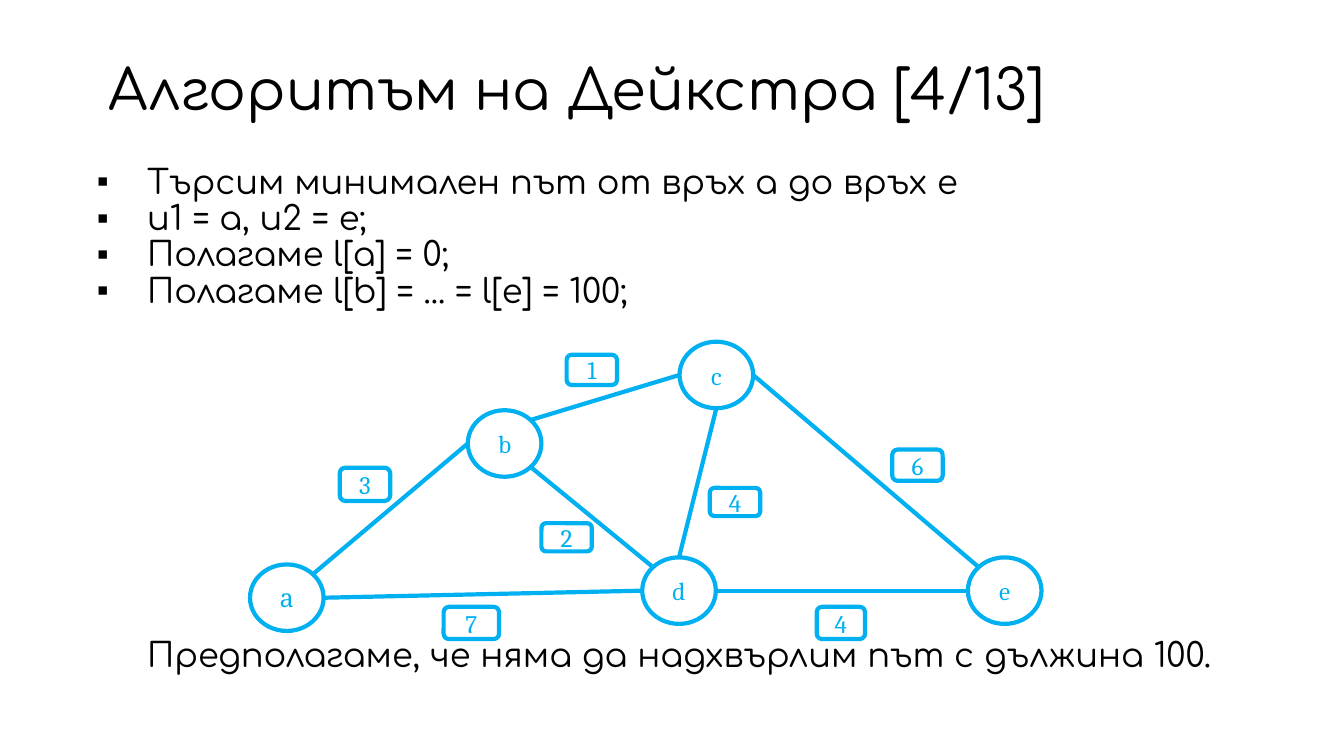
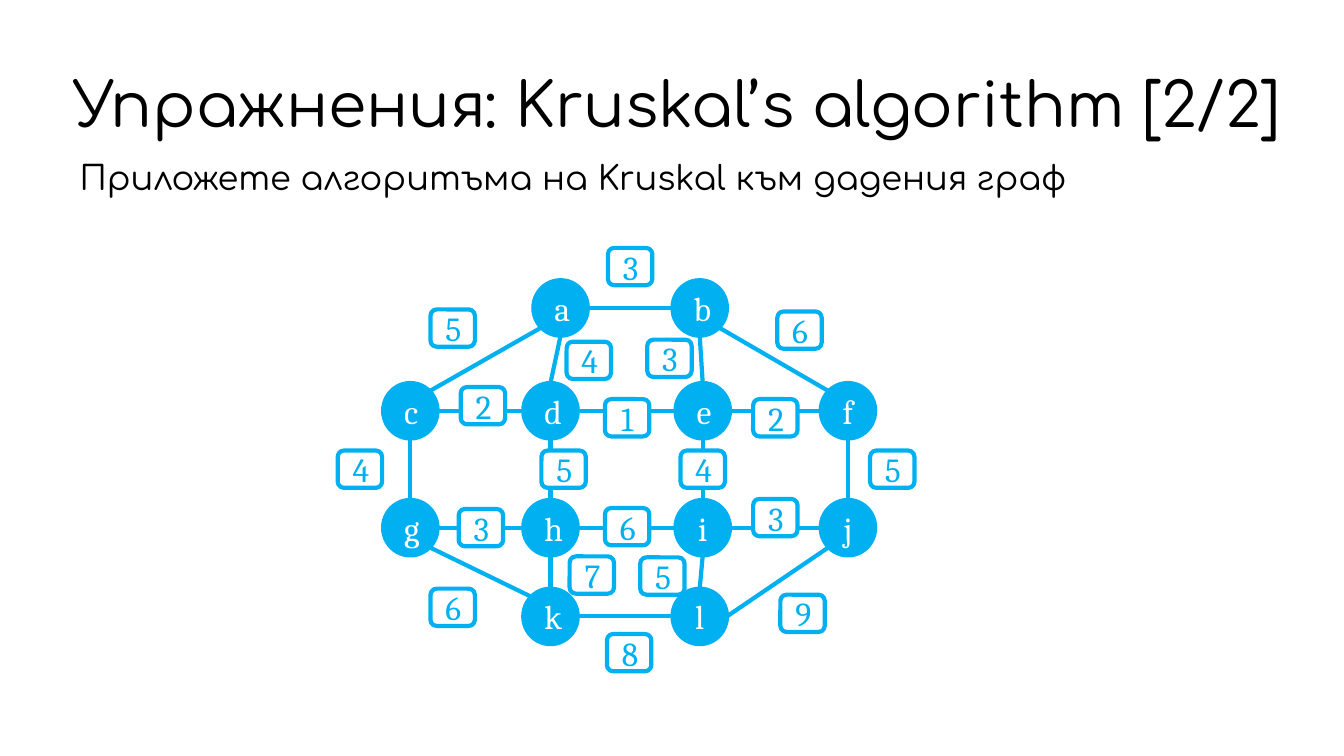
from collections import namedtuple
from math import cos, radians, sin

from lxml.etree import SubElement
from pptx import Presentation
from pptx.dml.color import RGBColor
from pptx.enum.shapes import MSO_CONNECTOR, MSO_SHAPE
from pptx.enum.text import MSO_ANCHOR, MSO_AUTO_SIZE, PP_ALIGN
from pptx.oxml.ns import qn
from pptx.util import Inches, Pt

BLACK = RGBColor(0x00, 0x00, 0x00)
WHITE = RGBColor(0xFF, 0xFF, 0xFF)
BLUE = RGBColor(0x00, 0xB0, 0xF0)
TEXT_FONT = "Comfortaa"
GRAPH_FONT = "Cambria"
LINE_WIDTH = Pt(3)
CELL = Inches(0.1)
SLIDE_WIDTH, SLIDE_HEIGHT = Inches(13.33), Inches(7.5)

TOP, TOP_LEFT, LEFT, BOTTOM_LEFT, BOTTOM, BOTTOM_RIGHT, RIGHT, TOP_RIGHT = range(8)

Box = namedtuple("Box", "left top width height")
Edge = namedtuple("Edge", "start start_site end end_site weight label")
GraphStyle = namedtuple("GraphStyle", "node_size font_size node_fill node_text label_fill")

DIJKSTRA_STYLE = GraphStyle((7.3, 6.6), 18, None, BLUE, None)
DIJKSTRA_NODES = {
    "а": (0, 22.1), "b": (21.6, 6.8), "c": (42.6, 0), "d": (38.9, 21.4), "e": (71.2, 21.4),
}
DIJKSTRA_EDGES = [
    Edge("а", TOP_RIGHT, "b", LEFT, "3", Box(8.9, 12.5, 5, 3.3)),
    Edge("b", BOTTOM_RIGHT, "d", TOP_LEFT, "2", Box(28.9, 18, 5, 2.8)),
    Edge("а", RIGHT, "d", LEFT, "7", Box(19.2, 26.3, 5.5, 3.2)),
    Edge("b", TOP_RIGHT, "c", LEFT, "1", Box(31.4, 1.3, 5, 3)),
    Edge("d", TOP, "c", BOTTOM, "4", Box(45.6, 14.5, 5, 2.8)),
    Edge("c", RIGHT, "e", TOP_LEFT, "6", Box(63.7, 10.7, 5, 3.1)),
    Edge("d", RIGHT, "e", LEFT, "4", Box(56.2, 26.3, 4.8, 3.2)),
]

KRUSKAL_STYLE = GraphStyle((5.4, 5.5), 24, BLUE, WHITE, WHITE)
KRUSKAL_ROWS = [
    (3.2, {"a": 19.4, "b": 33.2}),
    (13.4, {"c": 4.5, "d": 18.4, "e": 33.5, "f": 47.9}),
    (25, {"g": 4.5, "h": 18.4, "i": 33.5, "j": 47.9}),
    (33.8, {"k": 18.4, "l": 33.2}),
]
KRUSKAL_NODES = {
    name: (left, top) for top, row in KRUSKAL_ROWS for name, left in row.items()
}
KRUSKAL_EDGES = [
    Edge(start, start_site, end, end_site, weight, Box(left, top, 4.4, 3.7))
    for start, start_site, end, end_site, weight, left, top in [
        ("a", RIGHT, "b", LEFT, "3", 26.8, 0),
        ("b", BOTTOM_RIGHT, "f", TOP_LEFT, "6", 43.6, 6.3),
        ("f", BOTTOM, "j", TOP, "5", 52.8, 20.1),
        ("j", BOTTOM_LEFT, "l", RIGHT, "9", 43.9, 34.4),
        ("l", LEFT, "k", RIGHT, "8", 26.7, 38.3),
        ("k", TOP_LEFT, "g", BOTTOM_RIGHT, "6", 9.2, 33.8),
        ("c", BOTTOM, "g", TOP, "4", 0, 20.1),
        ("a", BOTTOM_LEFT, "c", TOP_RIGHT, "5", 9.2, 6.1),
        ("c", RIGHT, "d", LEFT, "2", 12.2, 13.8),
        ("d", RIGHT, "e", LEFT, "1", 26.5, 15),
        ("e", RIGHT, "f", LEFT, "2", 41.2, 15),
        ("g", RIGHT, "h", LEFT, "3", 12, 25.9),
        ("h", RIGHT, "i", LEFT, "6", 26.5, 25.8),
        ("i", RIGHT, "j", LEFT, "3", 41.2, 24.9),
        ("a", BOTTOM, "d", TOP, "4", 22.7, 9.3),
        ("d", BOTTOM, "h", TOP, "5", 20.2, 20.1),
        ("h", BOTTOM, "k", TOP, "7", 23, 30.6),
        ("b", BOTTOM, "e", TOP, "3", 30.7, 9.1),
        ("e", BOTTOM, "i", TOP, "4", 34, 20.1),
        ("i", BOTTOM, "l", TOP, "5", 30, 30.7),
    ]
]


def to_emu(box):
    """Turn a box in grid cells into slide lengths."""
    return [int(value * CELL) for value in box]


def add_run(paragraph, text, size, font, color):
    """Add one formatted run to a paragraph."""
    run = paragraph.add_run()
    run.text = text
    run.font.size = Pt(size)
    run.font.name = font
    run.font.color.rgb = color


def set_frame(frame, anchor, horizontal, vertical):
    """Set wrapping, anchor and insets of a text frame."""
    frame.word_wrap = True
    frame.auto_size = MSO_AUTO_SIZE.NONE
    frame.vertical_anchor = anchor
    frame.margin_left = frame.margin_right = Inches(horizontal)
    frame.margin_top = frame.margin_bottom = Inches(vertical)


def add_bullet(paragraph):
    """Give a paragraph a square bullet with a hanging indent."""
    properties = paragraph._p.get_or_add_pPr()
    properties.set("marL", str(Inches(0.67)))
    properties.set("indent", str(-Inches(0.5)))
    SubElement(properties, qn("a:buFont"), typeface="Arial")
    SubElement(properties, qn("a:buChar"), char="▪")


def add_titled_slide(presentation, title, box, size):
    """Add a title-only slide and format its title."""
    slide = presentation.slides.add_slide(presentation.slide_layouts[5])
    shape = slide.shapes.title
    shape.left, shape.top, shape.width, shape.height = to_emu(box)
    set_frame(shape.text_frame, MSO_ANCHOR.MIDDLE, 0.12, 0.04)
    paragraph = shape.text_frame.paragraphs[0]
    paragraph.alignment = PP_ALIGN.LEFT
    paragraph.line_spacing = 0.9
    add_run(paragraph, title, size, TEXT_FONT, BLACK)
    return slide


def add_body(slide, box, lines, alignment=PP_ALIGN.LEFT, bulleted=False):
    """Add body text, one paragraph for each line."""
    frame = slide.shapes.add_textbox(*to_emu(box)).text_frame
    set_frame(frame, MSO_ANCHOR.TOP, 0.12, 0.04)
    for index, line in enumerate(lines):
        paragraph = frame.add_paragraph() if index else frame.paragraphs[0]
        paragraph.alignment = alignment
        paragraph.line_spacing = 0.9
        if bulleted:
            add_bullet(paragraph)
        add_run(paragraph, line, 24, TEXT_FONT, BLACK)


def add_graph_shape(slide, kind, box, text, size, fill, color):
    """Add an outlined node or weight label with centred text."""
    shape = slide.shapes.add_shape(kind, *to_emu(box))
    shape.shadow.inherit = False
    if fill is None:
        shape.fill.background()
    else:
        shape.fill.solid()
        shape.fill.fore_color.rgb = fill
    shape.line.color.rgb = BLUE
    shape.line.width = LINE_WIDTH
    set_frame(shape.text_frame, MSO_ANCHOR.MIDDLE, 0.13, 0.13)
    paragraph = shape.text_frame.paragraphs[0]
    paragraph.alignment = PP_ALIGN.CENTER
    add_run(paragraph, text, size, GRAPH_FONT, color)
    return shape


def site_point(node, site):
    """Return the point of a connection site on an ellipse."""
    angle = radians(45 * site)
    x = node.left + node.width / 2 * (1 - sin(angle))
    y = node.top + node.height / 2 * (1 - cos(angle))
    return int(x), int(y)


def add_edge(slide, start, start_site, end, end_site):
    """Join two nodes with a connector glued to their sites."""
    connector = slide.shapes.add_connector(
        MSO_CONNECTOR.STRAIGHT, *site_point(start, start_site), *site_point(end, end_site)
    )
    connector.line.color.rgb = BLUE
    connector.line.width = LINE_WIDTH
    SubElement(connector._element.spPr, qn("a:effectLst"))
    joints = connector._element.find(".//" + qn("p:cNvCxnSpPr"))
    for tag, node, site in (("a:stCxn", start, start_site), ("a:endCxn", end, end_site)):
        SubElement(joints, qn(tag), id=str(node.shape_id), idx=str(site))


def add_graph(slide, left, top, nodes, edges, style):
    """Draw a weighted graph from the given corner."""
    shapes = {
        name: add_graph_shape(
            slide, MSO_SHAPE.OVAL, Box(left + x, top + y, *style.node_size),
            name, style.font_size, style.node_fill, style.node_text,
        )
        for name, (x, y) in nodes.items()
    }
    for edge in edges:
        add_edge(slide, shapes[edge.start], edge.start_site, shapes[edge.end], edge.end_site)
    for edge in edges:
        label = edge.label
        add_graph_shape(
            slide, MSO_SHAPE.ROUNDED_RECTANGLE,
            label._replace(left=left + label.left, top=top + label.top),
            edge.weight, style.font_size, style.label_fill, BLUE,
        )


def add_dijkstra_slide(presentation):
    """Add the slide with the shortest path example."""
    slide = add_titled_slide(
        presentation, "Алгоритъм на Дейкстра [4/13]", Box(9.6, 5, 116.3, 8.4), 40
    )
    lines = [
        "Търсим минимален път от връх a до връх e",
        "u1 = a, u2 = e;",
        "Полагаме l[a] = 0;",
        "Полагаме l[b] = ... = l[e] = 100;",
    ]
    add_body(slide, Box(6.7, 16, 124.2, 16), lines, PP_ALIGN.JUSTIFY, bulleted=True)
    note = "Предполагаме, че няма да надхвърлим път с дължина 100."
    add_body(slide, Box(13.4, 62.9, 117.5, 5.6), [note], PP_ALIGN.JUSTIFY)
    add_graph(slide, 24.8, 33.9, DIJKSTRA_NODES, DIJKSTRA_EDGES, DIJKSTRA_STYLE)


def add_kruskal_slide(presentation):
    """Add the slide with the spanning tree exercise."""
    slide = add_titled_slide(
        presentation, "Упражнения: Kruskal’s algorithm [2/2]", Box(6.1, 6.5, 124.1, 8.4), 44
    )
    task = "Приложете алгоритъма на Kruskal към дадения граф"
    add_body(slide, Box(6.7, 15.6, 115.7, 6), [task])
    add_graph(slide, 33.5, 24.6, KRUSKAL_NODES, KRUSKAL_EDGES, KRUSKAL_STYLE)


def main():
    """Build and save the presentation."""
    presentation = Presentation()
    presentation.slide_width = SLIDE_WIDTH
    presentation.slide_height = SLIDE_HEIGHT
    add_dijkstra_slide(presentation)
    add_kruskal_slide(presentation)
    presentation.save("out.pptx")


if __name__ == "__main__":
    main()
